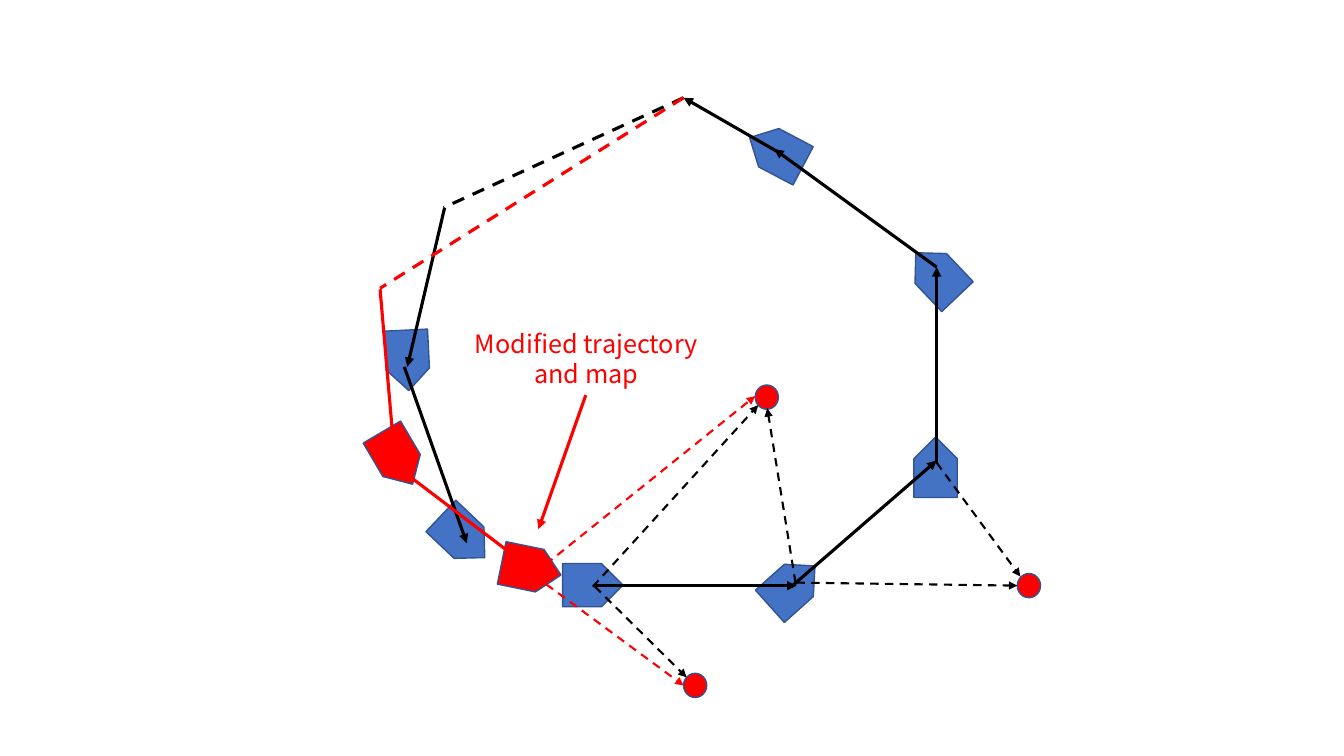
from dataclasses import dataclass

from lxml import etree
from pptx import Presentation
from pptx.dml.color import RGBColor
from pptx.enum.dml import MSO_LINE
from pptx.enum.shapes import MSO_CONNECTOR, MSO_SHAPE
from pptx.enum.text import MSO_AUTO_SIZE, PP_ALIGN
from pptx.oxml.ns import qn
from pptx.slide import Slide
from pptx.util import Emu, Pt

PLATE = MSO_SHAPE.PENTAGON
OVAL = MSO_SHAPE.OVAL
STRAIGHT = MSO_CONNECTOR.STRAIGHT
DASH = MSO_LINE.DASH
CENTER = PP_ALIGN.CENTER
GROW = MSO_AUTO_SIZE.SHAPE_TO_FIT_TEXT
SCALE = 9144


@dataclass(frozen=True)
class Theme:
    blue: str = "4472C4"
    red: str = "FF0000"
    black: str = "000000"
    edge: str = "325491"
    font: str = "Noto Sans CJK JP"
    size: float = 18
    thin: float = 1
    sight: float = 1.5
    track: float = 2.25


THEME = Theme()


@dataclass(frozen=True)
class Pose:
    left: int
    top: int
    turn: float = 0
    fill: str = THEME.blue


@dataclass(frozen=True)
class Mark:
    left: int
    top: int


@dataclass(frozen=True)
class Link:
    start: tuple[int, int]
    end: tuple[int, int]
    color: str = THEME.black
    width: float = THEME.track
    dashed: bool = False
    arrow: bool = True


def sight(start: tuple[int, int], end: tuple[int, int], color: str = THEME.black) -> Link:
    return Link(start, end, color, THEME.sight, dashed=True)


POSES = [
    Pose(364, 433, 59.5, THEME.red),
    Pose(558, 559),
    Pose(756, 560, 318.2),
    Pose(898, 442, 270),
    Pose(899, 251, 226.5),
    Pose(740, 129, 207.8),
    Pose(429, 511, 43.5),
    Pose(374, 336, 87.2),
    Pose(497, 543, 11.6, THEME.red),
]

MARKS = [Mark(749, 382), Mark(678, 668), Mark(1009, 569)]

LINKS = [
    Link((588, 581), (790, 581)),
    Link((786, 581), (929, 457)),
    Link((929, 459), (929, 265)),
    Link((929, 265), (768, 148)),
    sight((588, 582), (752, 402)),
    sight((590, 582), (681, 672)),
    sight((789, 578), (761, 405)),
    sight((790, 578), (1009, 581)),
    sight((929, 459), (1012, 572)),
    Link((772, 151), (678, 97)),
    Link((441, 206), (404, 364)),
    Link((401, 364), (463, 539)),
    Link((678, 97), (440, 206), dashed=True, arrow=False),
    Link((391, 461), (533, 569), THEME.red),
    Link((377, 287), (392, 461), THEME.red),
    Link((678, 97), (377, 286), THEME.red, dashed=True, arrow=False),
    sight((530, 569), (749, 393), THEME.red),
    sight((530, 571), (678, 680), THEME.red),
    Link((581, 392), (534, 525), THEME.red),
]


def px(value: int) -> Emu:
    return Emu(value * SCALE)


def rgb(color: str) -> RGBColor:
    return RGBColor.from_string(color)


def draw_shape(slide: Slide, kind: MSO_SHAPE, box: tuple[int, int, int, int],
               fill: str, turn: float = 0) -> None:
    shape = slide.shapes.add_shape(kind, *map(px, box))
    shape.rotation = turn
    shape.shadow.inherit = False
    shape.fill.solid()
    shape.fill.fore_color.rgb = rgb(fill)
    shape.line.color.rgb = rgb(THEME.edge)
    shape.line.width = Pt(THEME.thin)


def draw_link(slide: Slide, link: Link) -> None:
    line = slide.shapes.add_connector(STRAIGHT, *map(px, link.start + link.end))
    line.line.color.rgb = rgb(link.color)
    line.line.width = Pt(link.width)
    if link.dashed:
        line.line.dash_style = DASH
    if link.arrow:
        etree.SubElement(line.line._get_or_add_ln(), qn("a:tailEnd"), type="triangle")
    etree.SubElement(line._element.spPr, qn("a:effectLst"))


def draw_label(slide: Slide, text: str, box: tuple[int, int, int, int]) -> None:
    frame = slide.shapes.add_textbox(*map(px, box)).text_frame
    frame.word_wrap = False
    frame.auto_size = GROW
    frame.text = text
    for para in frame.paragraphs:
        para.alignment = CENTER
        for run in para.runs:
            run.font.name = THEME.font
            run.font.size = Pt(THEME.size)
            run.font.color.rgb = rgb(THEME.red)


def main() -> None:
    deck = Presentation()
    deck.slide_width, deck.slide_height = px(1333), px(750)
    slide = deck.slides.add_slide(deck.slide_layouts[6])
    for pose in POSES:
        draw_shape(slide, PLATE, (pose.left, pose.top, 60, 43), pose.fill, pose.turn)
    for mark in MARKS:
        draw_shape(slide, OVAL, (mark.left, mark.top, 23, 24), THEME.red)
    for link in LINKS:
        draw_link(slide, link)
    draw_label(slide, "Modified trajectory\nand map", (461, 321, 241, 71))
    deck.save("out.pptx")


if __name__ == "__main__":
    main()
